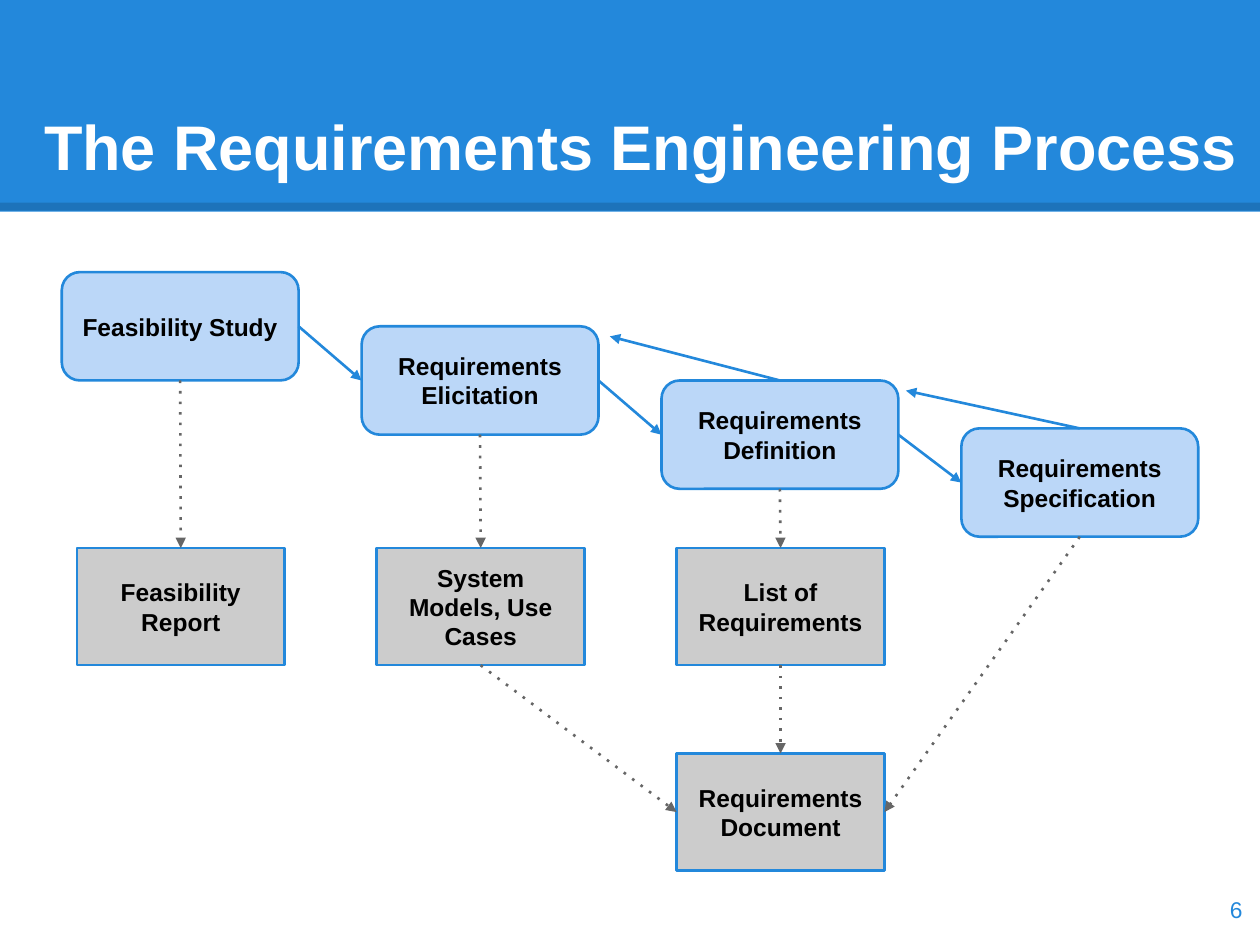
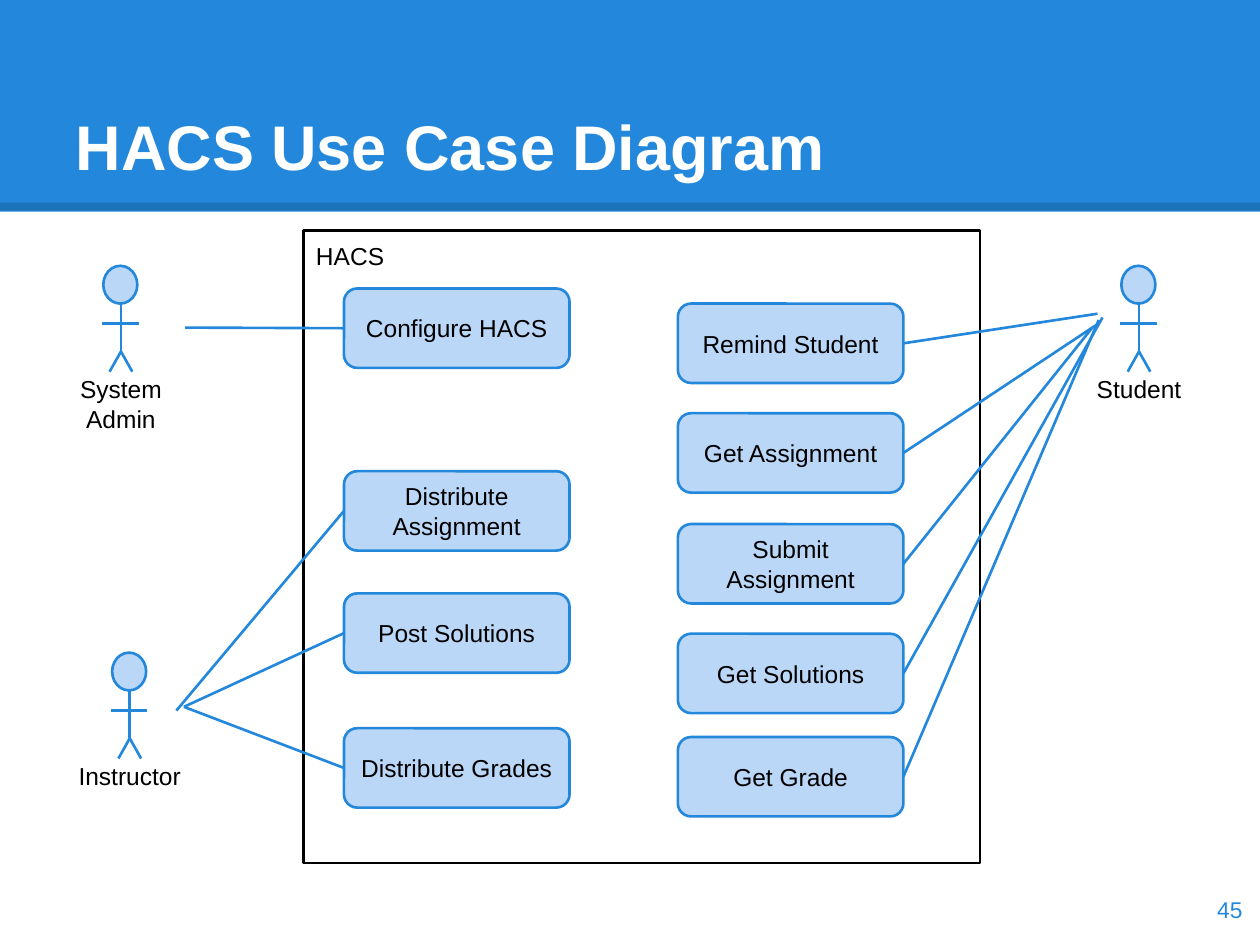
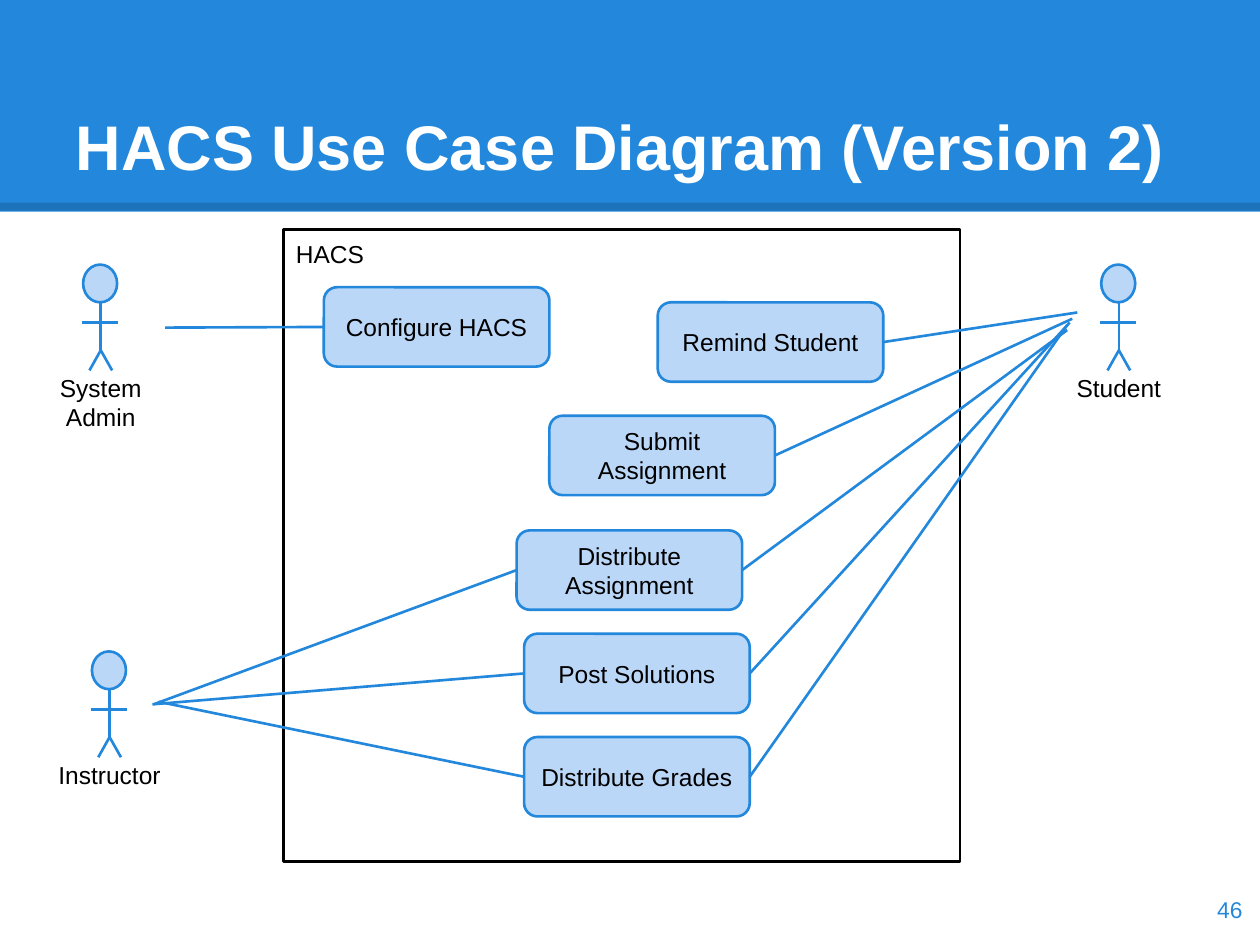
"""Builds three slides on requirements and use cases."""
from lxml import etree
from pptx import Presentation
from pptx.dml.color import RGBColor
from pptx.enum.shapes import MSO_CONNECTOR, MSO_SHAPE
from pptx.enum.text import MSO_ANCHOR, MSO_AUTO_SIZE, PP_ALIGN
from pptx.oxml.ns import qn
from pptx.util import Inches, Pt

RECT, ROUND, OVAL = MSO_SHAPE.RECTANGLE, MSO_SHAPE.ROUNDED_RECTANGLE, MSO_SHAPE.OVAL
STRAIGHT = MSO_CONNECTOR.STRAIGHT
TOP, MIDDLE, BOTTOM = MSO_ANCHOR.TOP, MSO_ANCHOR.MIDDLE, MSO_ANCHOR.BOTTOM
LEFT, CENTER, RIGHT = PP_ALIGN.LEFT, PP_ALIGN.CENTER, PP_ALIGN.RIGHT
NO_FIT = MSO_AUTO_SIZE.NONE
NORTH, WEST, SOUTH, EAST = range(4)

FONT = "Arial"
HUES = {"blue": "2388DB", "pale": "BBD7F8", "gray": "CCCCCC",
        "dark": "666666", "black": "000000", "white": "FFFFFF"}
ACTORS = [("Student", 6.49, 0.28), ("System Admin", -1.59, 0.28),
          ("Instructor", -1.52, 3.35)]

# Each case: name, x, y, end of its left line, end of its right line.
FIRST = [
    ("Configure HACS", 0.32, 0.46, (-0.94, 0.77), None),
    ("Distribute Assignment", 0.32, 1.91, (-1.01, 3.81), None),
    ("Post Solutions", 0.32, 2.88, (-0.95, 3.78), None),
    ("Distribute Grades", 0.32, 3.95, (-0.95, 3.78), None),
    ("Remind Student", 2.97, 0.58, None, (6.30, 0.66)),
    ("Get Assignment", 2.97, 1.45, None, (6.29, 0.75)),
    ("Submit Assignment", 2.97, 2.33, None, (6.26, 0.77)),
    ("Get Solutions", 2.97, 3.20, None, (6.34, 0.69)),
    ("Get Grade", 2.97, 4.02, None, (6.31, 0.71)),
]
SECOND = [
    ("Configure HACS", 0.32, 0.46, (-0.94, 0.78), None),
    ("Remind Student", 2.97, 0.58, None, (6.30, 0.66)),
    ("Submit Assignment", 2.11, 1.48, None, (6.26, 0.71)),
    ("Distribute Assignment", 1.85, 2.39, (-1.03, 3.77), (6.22, 0.80)),
    ("Post Solutions", 1.91, 3.21, (-1.04, 3.77), (6.24, 0.74)),
    ("Distribute Grades", 1.91, 4.03, (-0.99, 3.75), (6.22, 0.76)),
]


def hue(name):
    """Return the colour of the given name."""
    return RGBColor.from_string(HUES[name])


def write(shape, words, size=14, color="black", bold=False, align=CENTER,
          anchor=MIDDLE, top=0.1):
    """Put formatted text into a shape."""
    frame = shape.text_frame
    frame.text = words
    frame.word_wrap = True
    frame.auto_size = NO_FIT
    frame.vertical_anchor = anchor
    frame.margin_left = frame.margin_right = frame.margin_bottom = Inches(0.1)
    frame.margin_top = Inches(top)
    line = frame.paragraphs[0]
    line.alignment = align
    font = line.runs[0].font
    font.name, font.size, font.bold = FONT, Pt(size), bold
    font.color.rgb = hue(color)


def label(slide, words, box, **style):
    """Add a text box."""
    write(slide.shapes.add_textbox(*map(Inches, box)), words, **style)


def node(slide, kind, box, fill="pale", edge="blue", words="", **style):
    """Add a filled shape, with text if there is any."""
    shape = slide.shapes.add_shape(kind, *map(Inches, box))
    shape.shadow.inherit = False
    shape.fill.solid()
    shape.fill.fore_color.rgb = hue(fill)
    if edge:
        shape.line.color.rgb = hue(edge)
        shape.line.width = Pt(1.5)
    else:
        shape.line.fill.background()
    if words:
        write(shape, words, **style)
    return shape


def wire(slide, start=(0, 0), stop=(0, 0), tie=None, goal=None, color="blue",
         width=1.5, dot=False, head=False):
    """Add a line between points, or joined to the sides of shapes."""
    line = slide.shapes.add_connector(STRAIGHT, *map(Inches, (*start, *stop)))
    if tie:
        line.begin_connect(*tie)
    if goal:
        line.end_connect(*goal)
    line.line.color.rgb = hue(color)
    line.line.width = Pt(width)
    pen = line.line._get_or_add_ln()
    if dot:
        etree.SubElement(pen, qn("a:prstDash"), val="dot")
    if head:
        etree.SubElement(pen, qn("a:tailEnd"), type="triangle")
    etree.SubElement(line.element.spPr, qn("a:effectLst"))
    return line


def band(slide):
    """Draw the title band and move it to the layout that slides share."""
    block = node(slide, RECT, (0, 0, 10, 1.68), fill="blue", edge=None)
    rule = wire(slide, (0, 1.64), (10, 1.64), color="black", width=4.5)
    tint = rule.element.find(".//" + qn("a:ln")).find(".//" + qn("a:srgbClr"))
    etree.SubElement(tint, qn("a:alpha"), val="15000")
    tree = slide.slide_layout.shapes.element
    for spot, part in enumerate((block, rule)):
        part.element.find(".//" + qn("p:cNvPr")).set("id", str(50 + spot))
        tree.insert(2 + spot, part.element)


def start(deck, words, number, box=(0.5, 0.3, 9, 1.25)):
    """Add a slide with its title and number."""
    slide = deck.slides.add_slide(deck.slide_layouts[5])
    title = slide.shapes.title
    title.left, title.top, title.width, title.height = map(Inches, box)
    write(title, words, size=36, color="white", bold=True, align=LEFT, anchor=BOTTOM)
    label(slide, str(number), (9.36, 6.93, 0.6, 0.57), size=13, color="blue", align=RIGHT)
    return slide


def flow(slide, left, top):
    """Draw the process steps and the documents they give."""
    step = 2.38
    tasks = [
        node(slide, ROUND, (left + step * i, top + drop, 1.88, 0.86), words=words, bold=True)
        for i, (words, drop) in enumerate([
            ("Feasibility Study", 0), ("Requirements Elicitation", 0.43),
            ("Requirements Definition", 0.86), ("Requirements Specification", 1.24)])]
    papers = [
        node(slide, RECT, (left + 0.12 + step * col, top + drop, 1.65, 0.93),
             fill="gray", words=words, bold=True)
        for words, col, drop in [
            ("Feasibility Report", 0, 2.19), ("System Models, Use Cases", 1, 2.19),
            ("List of Requirements", 2, 2.19), ("Requirements Document", 2, 3.82)]]
    for task, after in zip(tasks, tasks[1:]):
        wire(slide, tie=(task, EAST), goal=(after, WEST), head=True)
    for task, x, y in [(tasks[2], 4.35, 0.51), (tasks[3], 6.7, 0.94)]:
        wire(slide, stop=(left + x, top + y), tie=(task, NORTH), head=True)
    final = papers[3]
    drops = [(task, paper, NORTH) for task, paper in zip(tasks, papers[:3])]
    drops += [(papers[1], final, WEST), (papers[2], final, NORTH), (tasks[3], final, EAST)]
    for source, paper, side in drops:
        wire(slide, tie=(source, SOUTH), goal=(paper, side), color="dark", dot=True, head=True)


def actor(slide, words, left, top):
    """Draw a stick figure with its name below."""
    node(slide, OVAL, (left, top, 0.27, 0.3))
    mid, hip = left + 0.14, top + 0.68
    wire(slide, (mid, top + 0.3), (mid, hip))
    for side in (-0.09, 0.09):
        wire(slide, (mid, hip), (mid + side, hip + 0.16))
    wire(slide, (mid - 0.15, top + 0.46), (mid + 0.14, top + 0.46))
    label(slide, words, (left - 0.48, top + 0.76, 1.24, 0.3), anchor=TOP)


def cases(slide, left, top, items):
    """Draw the system frame, its actors and its use cases."""
    node(slide, RECT, (left, top, 5.37, 5.02), fill="white", edge="black",
         words="HACS", align=LEFT, anchor=TOP, top=0.08)
    for words, x, y in ACTORS:
        actor(slide, words, left + x, top + y)
    for words, x, y, *ends in items:
        case = node(slide, ROUND, (left + x, top + y, 1.79, 0.63), words=words)
        for side, end in zip((WEST, EAST), ends):
            if end:
                wire(slide, stop=(left + end[0], top + end[1]), tie=(case, side))


def main():
    """Build and save the deck."""
    deck = Presentation()
    deck.slide_width, deck.slide_height = Inches(10), Inches(7.5)
    slide = start(deck, "The Requirements Engineering Process", 6, (0.25, 0.3, 9.76, 1.25))
    band(slide)
    flow(slide, 0.49, 2.16)
    cases(start(deck, "HACS Use Case Diagram", 45), 2.41, 1.83, FIRST)
    cases(start(deck, "HACS Use Case Diagram (Version 2)", 46), 2.25, 1.82, SECOND)
    deck.save("out.pptx")


if __name__ == "__main__":
    main()
